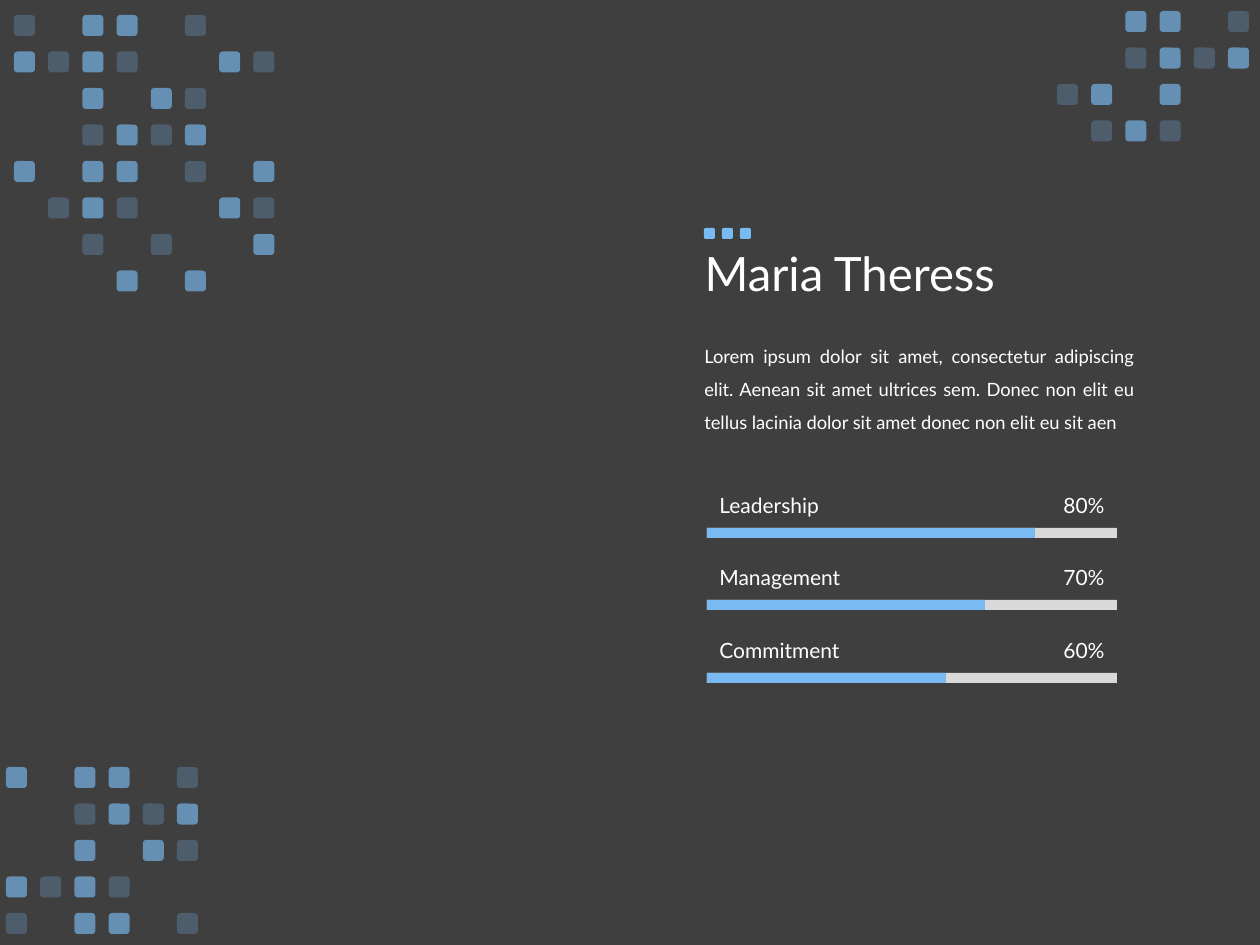
from dataclasses import dataclass

from lxml import etree
from pptx import Presentation
from pptx.dml.color import RGBColor
from pptx.enum.shapes import MSO_SHAPE
from pptx.enum.text import MSO_ANCHOR, MSO_AUTO_SIZE, PP_ALIGN
from pptx.oxml.ns import qn
from pptx.shapes.autoshape import Shape
from pptx.slide import Slide
from pptx.util import Emu, Pt

ROUNDED = MSO_SHAPE.ROUNDED_RECTANGLE
RECTANGLE = MSO_SHAPE.RECTANGLE
LEFT, RIGHT, JUSTIFY = PP_ALIGN.LEFT, PP_ALIGN.RIGHT, PP_ALIGN.JUSTIFY
TOP, MIDDLE = MSO_ANCHOR.TOP, MSO_ANCHOR.MIDDLE

PX_PER_INCH = 126
FONT = "Lato"
COLORS = {
    "background": "3F3F3F",
    "accent": "7ABAF2",
    "track": "D9D9D9",
    "text": "FFFFFF",
}
OPACITY = {"#": 65, "o": 25}

TILE = 21
TEN_COLUMNS = 342
TWO_ROWS = 73

BAR_LEFT = 707
BAR_TOP = 528
BAR_WIDTH = 410
BAR_HEIGHT = 10
TWO_SKILLS = 145
LABEL_RISE = 42
LABEL_HEIGHT = 38


@dataclass
class Mosaic:
    left: int
    top: int
    rows: tuple[str, ...]


@dataclass
class Skill:
    name: str
    score: str
    filled: int


MOSAICS = (
    Mosaic(6, 767, ("#.##.o", "..o#o#", "..#.#o", "#o#o..", "o.##.o")),
    Mosaic(14, 15, (
        "o.##.o..",
        "#o#o..#o",
        "..#.#o..",
        "..o#o#..",
        "#.##.o.#",
        ".o#o..#o",
        "..o.o..#",
        "...#.#..",
    )),
    Mosaic(1057, 11, ("..##.o", "..o#o#", "o#.#..", ".o#o..")),
)

SKILLS = (
    Skill("Leadership", "80%", 328),
    Skill("Management", "70%", 278),
    Skill("Commitment", "60%", 239),
)

BIOGRAPHY = (
    "Lorem ipsum dolor sit amet, consectetur adipiscing elit. Aenean sit amet "
    "ultrices sem. Donec non elit eu tellus lacinia dolor sit amet donec non "
    "elit eu sit aen"
)


def px(length: float) -> Emu:
    return Emu(round(length * 914400 / PX_PER_INCH))


def color(name: str) -> RGBColor:
    return RGBColor.from_string(COLORS[name])


def add_block(page: Slide, kind: MSO_SHAPE, left: float, top: float,
              width: int, height: int, fill: str, opacity: int = 100) -> None:
    block = page.shapes.add_shape(kind, px(left), px(top), px(width), px(height))
    block.shadow.inherit = False
    block.line.fill.background()
    block.fill.solid()
    block.fill.fore_color.rgb = color(fill)
    if opacity < 100:
        hue = next(block.fill._xPr.iter(qn("a:srgbClr")))
        etree.SubElement(hue, qn("a:alpha"), val=str(opacity * 1000))


def write(box: Shape, text: str, size: float, align: PP_ALIGN,
          anchor: MSO_ANCHOR, spacing: float = 1.0) -> None:
    frame = box.text_frame
    frame.text = text
    frame.word_wrap = True
    frame.auto_size = MSO_AUTO_SIZE.NONE
    frame.vertical_anchor = anchor
    paragraph = frame.paragraphs[0]
    paragraph.alignment = align
    paragraph.line_spacing = spacing
    span = paragraph.runs[0]
    span.font.name = FONT
    span.font.size = Pt(size)
    span.font.color.rgb = color("text")


def add_text(page: Slide, left: int, top: int, width: int, height: int,
             text: str, size: float, align: PP_ALIGN, anchor: MSO_ANCHOR,
             spacing: float = 1.0) -> None:
    box = page.shapes.add_textbox(px(left), px(top), px(width), px(height))
    write(box, text, size, align, anchor, spacing)


def draw_mosaic(page: Slide, mosaic: Mosaic) -> None:
    for row, marks in enumerate(mosaic.rows):
        for column, mark in enumerate(marks):
            if mark in OPACITY:
                left = mosaic.left + column * TEN_COLUMNS / 10
                top = mosaic.top + row * TWO_ROWS / 2
                add_block(page, ROUNDED, left, top, TILE, TILE, "accent",
                          OPACITY[mark])


def draw_title(page: Slide) -> None:
    title = page.shapes.title
    title.left, title.top = px(692), px(185)
    title.width, title.height = px(568), px(183)
    write(title, "Maria Theress", 27, LEFT, MIDDLE, 0.9)


def draw_skill(page: Slide, index: int, skill: Skill) -> None:
    top = BAR_TOP + index * TWO_SKILLS // 2
    label_top = top - LABEL_RISE
    add_block(page, RECTANGLE, BAR_LEFT, top, BAR_WIDTH, BAR_HEIGHT, "track")
    add_block(page, RECTANGLE, BAR_LEFT, top, skill.filled, BAR_HEIGHT, "accent")
    add_text(page, BAR_LEFT, label_top, 195, LABEL_HEIGHT, skill.name, 12,
             LEFT, MIDDLE)
    add_text(page, BAR_LEFT + BAR_WIDTH - 100, label_top, 100, LABEL_HEIGHT,
             skill.score, 12, RIGHT, MIDDLE)


def main() -> None:
    deck = Presentation()
    deck.slide_width, deck.slide_height = px(1260), px(945)
    page = deck.slides.add_slide(deck.slide_layouts[5])
    page.background.fill.solid()
    page.background.fill.fore_color.rgb = color("background")

    for mosaic in MOSAICS:
        draw_mosaic(page, mosaic)
    draw_title(page)
    add_text(page, 692, 328, 455, 108, BIOGRAPHY, 10.5, JUSTIFY, TOP, 1.5)
    for index, skill in enumerate(SKILLS):
        draw_skill(page, index, skill)
    for index in range(3):
        add_block(page, ROUNDED, 704 + index * 18, 228, 11, 11, "accent")

    deck.save("out.pptx")


if __name__ == "__main__":
    main()
